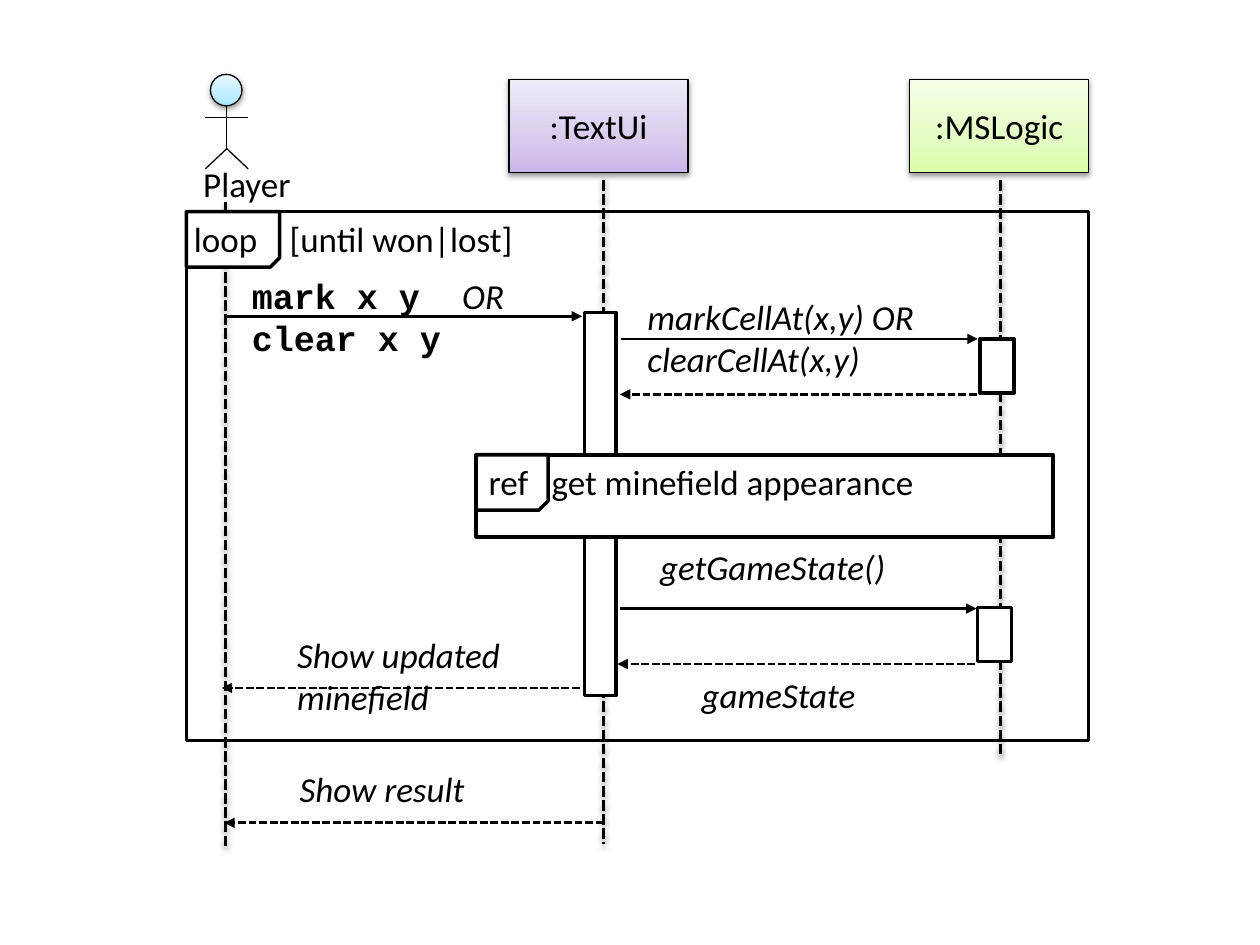
from copy import deepcopy
from typing import NamedTuple

from lxml.etree import SubElement
from pptx import Presentation
from pptx.dml.color import RGBColor
from pptx.enum.dml import MSO_LINE
from pptx.enum.shapes import MSO_CONNECTOR, MSO_SHAPE
from pptx.enum.text import MSO_ANCHOR, PP_ALIGN
from pptx.oxml.ns import qn
from pptx.util import Inches, Pt

BLACK = RGBColor(0, 0, 0)
WHITE = RGBColor(0xFF, 0xFF, 0xFF)
PURPLE = [RGBColor.from_string(c) for c in ("C9B5E8", "D8CBEE", "F0EAF9")]
GREEN = [RGBColor.from_string(c) for c in ("DAFDA7", "E4FCC2", "F5FFE7")]
BLUE = [RGBColor.from_string(c) for c in ("A7E6FF", "C1EDFF", "E7F8FF")]
STOPS = (0, 0.35, 1)


class Lifeline(NamedTuple):
    x: float
    top: float
    bottom: float


class Participant(NamedTuple):
    name: str
    left: float
    colors: list


class Message(NamedTuple):
    x1: float
    x2: float
    y: float
    reply: bool = False


class Label(NamedTuple):
    text: str
    box: tuple


class Fragment(NamedTuple):
    text: str
    frame: tuple
    tag_width: float
    text_box: tuple
    tab: float
    fill: RGBColor | None
    weight: float


PLAYER = Lifeline(1.79, 1.6, 6.72)
TEXT_UI = Lifeline(4.79, 1.43, 6.7)
LOGIC = Lifeline(7.94, 1.43, 6)
PARTICIPANTS = [Participant(":TextUi", 4.04, PURPLE),
                Participant(":MSLogic", 7.22, GREEN)]
ACTIVATIONS = [(4.64, 2.48, 0.25, 3.04), (7.78, 2.69, 0.27, 0.43),
               (7.76, 4.82, 0.27, 0.43)]
MESSAGES = [
    Message(1.79, 4.62, 2.51),
    Message(4.93, 7.76, 2.69),
    Message(7.75, 4.92, 3.13, reply=True),
    Message(4.92, 7.75, 4.83),
    Message(7.74, 4.9, 5.27, reply=True),
    Message(4.6, 1.76, 5.46, reply=True),
    Message(4.79, 1.78, 6.53, reply=True),
]
LABELS = [
    Label("markCellAt(x,y) OR clearCellAt(x,y)", (5.04, 2.3, 2.79, 0.77)),
    Label("getGameState()", (5.14, 4.28, 2.46, 0.44)),
    Label("gameState", (5.47, 5.3, 1.87, 0.44)),
    Label("Show updated minefield", (2.26, 4.98, 2.34, 0.77)),
    Label("Show result", (2.28, 6.04, 2.34, 0.44)),
]
FRAGMENTS = [
    Fragment("ref\tget minefield appearance", (3.78, 3.61, 4.58, 0.65), 0.57,
             (3.78, 3.61, 4.33, 0.42), 0.5, WHITE, 2.25),
    Fragment("loop\t[until won|lost]", (1.48, 1.68, 7.16, 4.2), 0.74,
             (1.44, 1.68, 3.3, 0.42), 0.76, None, 1.5),
]


def set_effect(shape, shadow: bool) -> None:
    """Give a shape or connector the soft shadow, or none at all."""
    effects = SubElement(shape._element.spPr, qn("a:effectLst"))
    if shadow:
        outer = SubElement(effects, qn("a:outerShdw"), blurRad="40000",
                           dist="20000", dir="5400000", rotWithShape="0")
        color = SubElement(outer, qn("a:srgbClr"), val=str(BLACK))
        SubElement(color, qn("a:alpha"), val="38000")


def add_line(shapes, x1: float, y1: float, x2: float, y2: float, *,
             weight=0.75, dashed=False, arrow=False, shadow=False) -> None:
    line = shapes.add_connector(MSO_CONNECTOR.STRAIGHT, Inches(x1), Inches(y1),
                                Inches(x2), Inches(y2))
    line.line.color.rgb = BLACK
    line.line.width = Pt(weight)
    if dashed:
        line.line.dash_style = MSO_LINE.SQUARE_DOT
    if arrow:
        SubElement(line._element.spPr.find(qn("a:ln")), qn("a:tailEnd"),
                   type="triangle")
    set_effect(line, shadow)


def add_box(shapes, kind, box: tuple, *, fill=None, colors=None, weight=2.0):
    sp = shapes.add_shape(kind, *map(Inches, box))
    if colors:
        sp.fill.gradient()
        sp.fill.gradient_angle = 90
        stop_list = sp._element.spPr.find(".//" + qn("a:gsLst"))
        stop_list.append(deepcopy(stop_list[-1]))
        for stop, color, position in zip(sp.fill.gradient_stops, colors, STOPS):
            stop.color.rgb = color
            stop.position = position
    elif fill is not None:
        sp.fill.solid()
        sp.fill.fore_color.rgb = fill
    else:
        sp.fill.background()
    sp.line.color.rgb = BLACK
    sp.line.width = Pt(weight)
    set_effect(sp, shadow=bool(colors))
    return sp


def add_run(p, text: str, *, font="Calibri", bold=False, italic=False) -> None:
    r = p.add_run()
    r.text = text
    r.font.name, r.font.size = font, Pt(20)
    r.font.bold, r.font.italic = bold, italic
    r.font.color.rgb = BLACK


def add_text(shapes, box: tuple, text="", *, italic=False, tab=None,
             align=PP_ALIGN.LEFT, anchor=MSO_ANCHOR.TOP):
    tf = shapes.add_textbox(*map(Inches, box)).text_frame
    tf.word_wrap = True
    tf.vertical_anchor = anchor
    p = tf.paragraphs[0]
    p.alignment = align
    if tab:
        tabs = SubElement(p._p.get_or_add_pPr(), qn("a:tabLst"))
        SubElement(tabs, qn("a:tab"), pos=str(Inches(tab)), algn="l")
    if text:
        add_run(p, text, italic=italic)
    return p


def add_actor(shapes) -> None:
    parts = shapes.add_group_shape().shapes
    x, left, right = 1.8, 1.63, 1.97
    for ends in [(x, 0.76, x, 1.18), (left, 0.93, right, 0.93),
                 (x, 1.18, left, 1.34), (x, 1.18, right, 1.34)]:
        add_line(parts, *ends)
    add_box(parts, MSO_SHAPE.OVAL, (1.67, 0.59, 0.25, 0.25), colors=BLUE,
            weight=0.75)


def add_participant(shapes, item: Participant) -> None:
    sp = add_box(shapes, MSO_SHAPE.RECTANGLE, (item.left, 0.63, 1.42, 0.74),
                 colors=item.colors, weight=0.75)
    tf = sp.text_frame
    tf.vertical_anchor = MSO_ANCHOR.MIDDLE
    tf.paragraphs[0].alignment = PP_ALIGN.CENTER
    add_run(tf.paragraphs[0], item.name)


def add_fragment(shapes, item: Fragment) -> None:
    add_box(shapes, MSO_SHAPE.RECTANGLE, item.frame, fill=item.fill,
            weight=item.weight)
    tag = add_box(shapes, MSO_SHAPE.SNIP_1_RECTANGLE,
                  (*item.frame[:2], item.tag_width, 0.44), fill=WHITE)
    tag._element.spPr.find(qn("a:xfrm")).set("flipV", "1")
    add_text(shapes, item.text_box, item.text, tab=item.tab,
             anchor=MSO_ANCHOR.MIDDLE)


def main() -> None:
    prs = Presentation()
    prs.slide_width, prs.slide_height = Inches(10), Inches(7.5)
    shapes = prs.slides.add_slide(prs.slide_layouts[6]).shapes

    # Lifelines and their heads
    for x, top, bottom in (PLAYER, TEXT_UI, LOGIC):
        add_line(shapes, x, top, x, bottom, weight=2, dashed=True, shadow=True)
    add_actor(shapes)
    for item in PARTICIPANTS:
        add_participant(shapes, item)

    # Activations and messages
    for box in ACTIVATIONS:
        add_box(shapes, MSO_SHAPE.RECTANGLE, box, fill=WHITE)
    for x1, x2, y, reply in MESSAGES:
        add_line(shapes, x1, y, x2, y, weight=1.5, dashed=reply, arrow=True)

    # Message labels
    p = add_text(shapes, (1.9, 2.13, 2.54, 0.77), tab=1.67)
    add_run(p, "mark x y\t", font="Courier New", bold=True)
    add_run(p, "OR ", italic=True)
    add_run(p, "clear x y", font="Courier New", bold=True)
    for text, box in LABELS:
        add_text(shapes, box, text, italic=True)

    # Interaction fragments and the actor's name
    for item in FRAGMENTS:
        add_fragment(shapes, item)
    add_text(shapes, (1.37, 1.24, 1.18, 0.44), "Player", align=PP_ALIGN.CENTER)

    prs.save("out.pptx")


if __name__ == "__main__":
    main()
